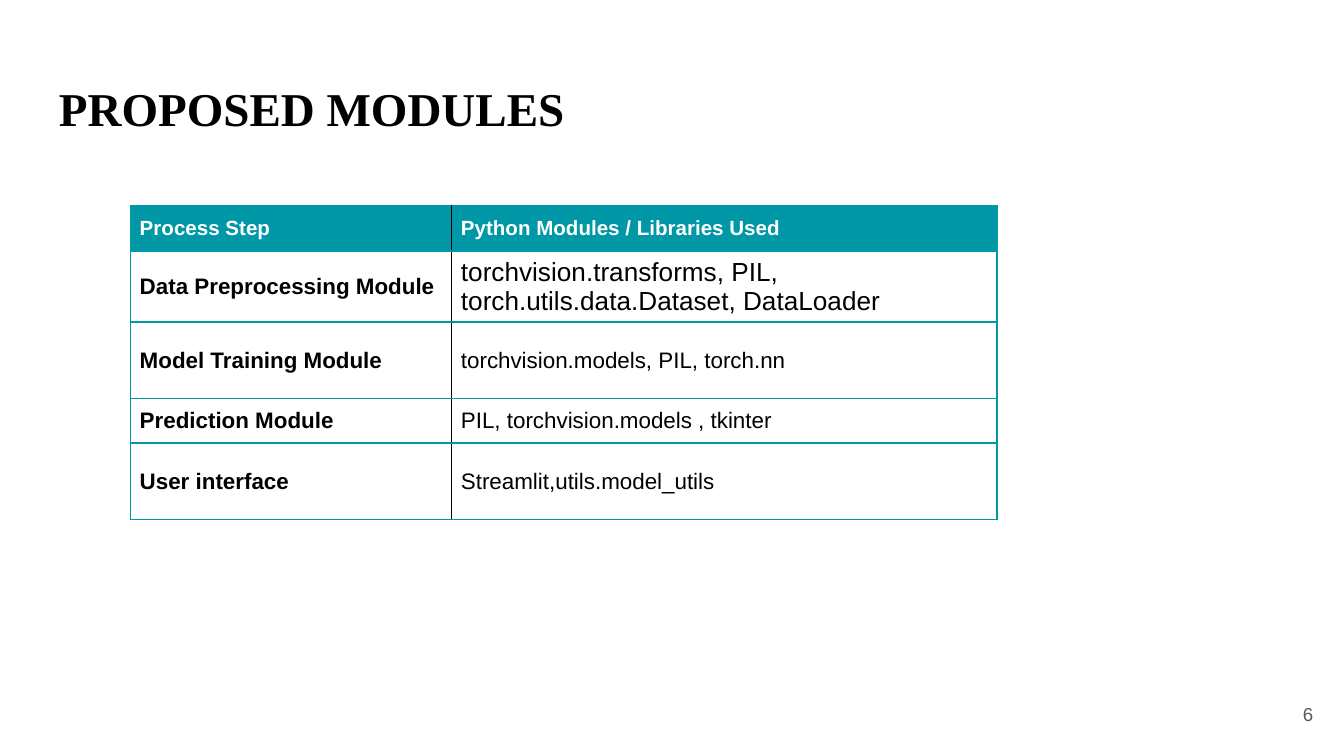
from dataclasses import dataclass

from lxml.etree import SubElement
from pptx import Presentation
from pptx.dml.color import RGBColor
from pptx.enum.text import MSO_ANCHOR, PP_ALIGN
from pptx.oxml.ns import qn
from pptx.slide import Slide
from pptx.table import _Cell
from pptx.text.text import TextFrame
from pptx.util import Inches, Pt

TEAL = RGBColor(0x00, 0x97, 0xA7)
BLACK = RGBColor(0x00, 0x00, 0x00)
WHITE = RGBColor(0xFF, 0xFF, 0xFF)
GRAY = RGBColor(0x59, 0x59, 0x59)

SLIDE_WIDTH = 10
SLIDE_HEIGHT = SLIDE_WIDTH * 9 / 16


@dataclass(frozen=True)
class TextStyle:
    size: float
    color: RGBColor = BLACK
    bold: bool = False
    font: str = "Arial"


@dataclass(frozen=True)
class ModuleRow:
    step: str
    libraries: str
    height: float
    library_size: float = 12


TITLE_STYLE = TextStyle(25.2, bold=True, font="Times New Roman")
NUMBER_STYLE = TextStyle(10, GRAY)
HEADER_STYLE = TextStyle(11, WHITE, bold=True)
STEP_STYLE = TextStyle(12, bold=True)

COLUMN_WIDTHS = (2.39, 4.06)
HEADER = ModuleRow("Process Step", "Python Modules / Libraries Used", 0.34)
MODULES = (
    ModuleRow(
        "Data Preprocessing Module",
        "torchvision.transforms, PIL, torch.utils.data.Dataset, DataLoader",
        0.51,
        14,
    ),
    ModuleRow("Model Training Module", "torchvision.models, PIL, torch.nn", 0.57),
    ModuleRow("Prediction Module", "PIL, torchvision.models , tkinter", 0.33),
    ModuleRow("User interface", "Streamlit,utils.model_utils", 0.57),
)


def write_text(frame: TextFrame, text: str, style: TextStyle,
               alignment: PP_ALIGN = PP_ALIGN.LEFT) -> None:
    paragraph = frame.paragraphs[0]
    paragraph.alignment = alignment
    run = paragraph.add_run()
    run.text = text
    run.font.name = style.font
    run.font.size = Pt(style.size)
    run.font.bold = style.bold
    run.font.color.rgb = style.color


def add_text_box(slide: Slide, box: tuple[float, float, float, float], text: str,
                 style: TextStyle, anchor: MSO_ANCHOR, alignment: PP_ALIGN) -> None:
    frame = slide.shapes.add_textbox(*map(Inches, box)).text_frame
    frame.word_wrap = True
    frame.vertical_anchor = anchor
    frame.margin_left = frame.margin_right = Inches(0.1)
    frame.margin_top = frame.margin_bottom = Inches(0.1)
    write_text(frame, text, style, alignment)


def set_borders(cell: _Cell, left: RGBColor, right: RGBColor) -> None:
    properties = cell._tc.get_or_add_tcPr()
    sides = {"a:lnL": left, "a:lnR": right, "a:lnT": TEAL, "a:lnB": TEAL}
    for index, (tag, color) in enumerate(sides.items()):
        line = SubElement(properties, qn(tag), w=str(Pt(1)))
        properties.insert(index, line)
        fill = SubElement(line, qn("a:solidFill"))
        SubElement(fill, qn("a:srgbClr"), val=str(color))


def fill_cell(cell: _Cell, text: str, style: TextStyle, fill: RGBColor) -> None:
    cell.fill.solid()
    cell.fill.fore_color.rgb = fill
    cell.vertical_anchor = MSO_ANCHOR.MIDDLE
    cell.margin_left = cell.margin_right = Inches(0.07)
    cell.margin_top = cell.margin_bottom = Inches(0.03)
    write_text(cell.text_frame, text, style)


def add_module_table(slide: Slide, left: float, top: float) -> None:
    rows = (HEADER, *MODULES)
    height = sum(row.height for row in rows)
    table = slide.shapes.add_table(
        len(rows), len(COLUMN_WIDTHS), Inches(left), Inches(top),
        Inches(sum(COLUMN_WIDTHS)), Inches(height),
    ).table
    for column, width in zip(table.columns, COLUMN_WIDTHS):
        column.width = Inches(width)
    for index, row in enumerate(rows):
        table.rows[index].height = Inches(row.height)
        is_header = row is HEADER
        fill = TEAL if is_header else WHITE
        step_style = HEADER_STYLE if is_header else STEP_STYLE
        library_style = HEADER_STYLE if is_header else TextStyle(row.library_size)
        step_cell, library_cell = table.cell(index, 0), table.cell(index, 1)
        fill_cell(step_cell, row.step, step_style, fill)
        fill_cell(library_cell, row.libraries, library_style, fill)
        set_borders(step_cell, TEAL, BLACK)
        set_borders(library_cell, BLACK, TEAL)


def main() -> None:
    presentation = Presentation()
    presentation.slide_width = Inches(SLIDE_WIDTH)
    presentation.slide_height = Inches(SLIDE_HEIGHT)
    slide = presentation.slides.add_slide(presentation.slide_layouts[6])
    add_text_box(slide, (0.34, 0.49, 9.32, 0.63), "PROPOSED MODULES", TITLE_STYLE,
                 MSO_ANCHOR.TOP, PP_ALIGN.LEFT)
    add_module_table(slide, 0.97, 1.53)
    add_text_box(slide, (9.27, 5.1, 0.6, 0.43), "6", NUMBER_STYLE,
                 MSO_ANCHOR.MIDDLE, PP_ALIGN.RIGHT)
    presentation.save("out.pptx")


if __name__ == "__main__":
    main()
